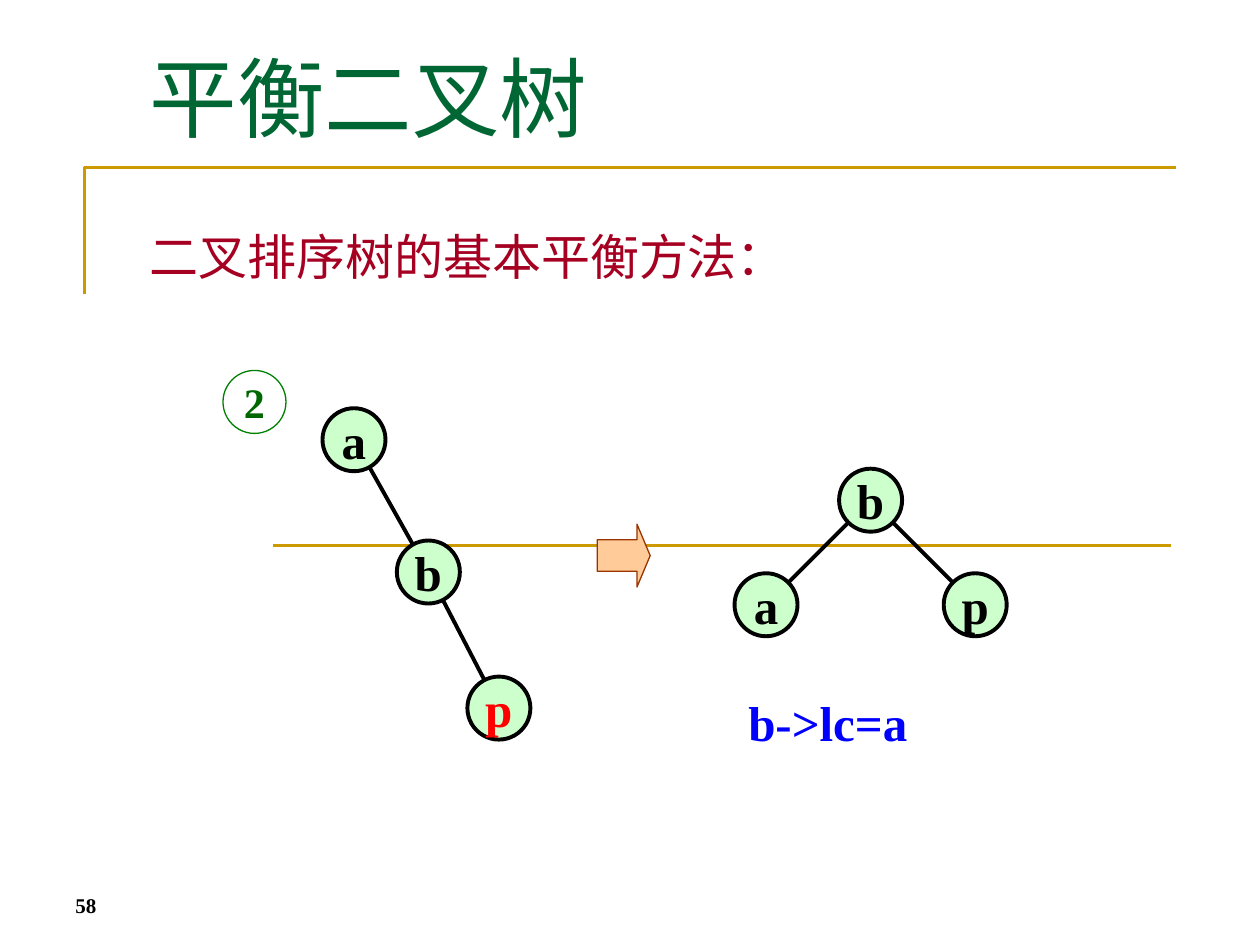
"""Build the slide on balancing a binary sort tree by a left rotation."""
from math import hypot

from lxml import etree
from pptx import Presentation
from pptx.dml.color import RGBColor
from pptx.enum.shapes import MSO_CONNECTOR, MSO_SHAPE
from pptx.enum.text import MSO_ANCHOR, PP_ALIGN
from pptx.oxml.ns import qn
from pptx.util import Inches, Pt

COLORS = {
    "gold": "CC9900", "title": "006633", "heading": "A50021", "code": "0000FF",
    "ink": "000000", "node": "CCFFCC", "inserted": "FF0000", "step": "006600",
    "step_line": "008000", "arrow": "FFCC99", "arrow_line": "993300",
}
SERIF, SANS = "Times New Roman", "Arial"
DIAMETER = 0.5

TITLE = ("平衡二叉树", (1.09, 0.3, 7.89, 1.25), 50, SERIF, "title", False, MSO_ANCHOR.TOP)
HEADING = ("二叉排序树的基本平衡方法：", (1.09, 1.75, 7.89, 4.95), 28, SANS, "heading", False, MSO_ANCHOR.TOP)
PAGE_NUMBER = ("58", (0.5, 6.83, 2.33, 0.5), 12, SERIF, "ink", True, MSO_ANCHOR.BOTTOM)
ASSIGNMENT = ("b->lc=a", (5.84, 5.45, 2.28, 0.57), 28, SERIF, "code", True, MSO_ANCHOR.TOP)

UNBALANCED = {
    "nodes": {"a": (2.56, 3.24, "ink"), "b": (3.15, 4.29, "ink"), "p": (3.71, 5.37, "inserted")},
    "edges": ["ab", "bp"],
}
BALANCED = {
    "nodes": {"b": (6.66, 3.72, "ink"), "a": (5.83, 4.55, "ink"), "p": (7.49, 4.55, "ink")},
    "edges": ["ba", "bp"],
}


def rgb(name):
    return RGBColor.from_string(COLORS[name])


def inches(values):
    return [Inches(value) for value in values]


def style_text(frame, text, size, font, color, bold):
    frame.text = text
    run_font = frame.paragraphs[0].runs[0].font
    run_font.size, run_font.name, run_font.bold = Pt(size), font, bold
    run_font.color.rgb = rgb(color)


def style_shape(shape, fill, line, width):
    shape.shadow.inherit = False
    if fill:
        shape.fill.solid()
        shape.fill.fore_color.rgb = rgb(fill)
    else:
        shape.fill.background()
    shape.line.color.rgb = rgb(line)
    shape.line.width = Pt(width)


def add_text(shapes, text, box, size, font, color, bold, anchor):
    frame = shapes.add_textbox(*inches(box)).text_frame
    frame.word_wrap = True
    frame.vertical_anchor = anchor
    style_text(frame, text, size, font, color, bold)


def add_line(shapes, start, end, color, width):
    line = shapes.add_connector(MSO_CONNECTOR.STRAIGHT, *inches(start + end))
    line.line.color.rgb = rgb(color)
    line.line.width = Pt(width)
    etree.SubElement(line._element.spPr, qn("a:effectLst"))


def add_circle(shapes, label, corner, size, color, fill, line, width):
    circle = shapes.add_shape(MSO_SHAPE.OVAL, *inches(corner + (DIAMETER, DIAMETER)))
    style_shape(circle, fill, line, width)
    frame = circle.text_frame
    frame.word_wrap = False
    frame.vertical_anchor = MSO_ANCHOR.MIDDLE
    style_text(frame, label, size, SERIF, color, True)
    frame.paragraphs[0].alignment = PP_ALIGN.CENTER


def add_tree(shapes, tree):
    group = shapes.add_group_shape().shapes
    radius = DIAMETER / 2
    for label, (left, top, color) in tree["nodes"].items():
        add_circle(group, label, (left, top), 28, color, "node", "ink", 2.25)
    for parent, child in tree["edges"]:
        x1, y1 = (value + radius for value in tree["nodes"][parent][:2])
        x2, y2 = (value + radius for value in tree["nodes"][child][:2])
        share = radius / hypot(x2 - x1, y2 - y1)
        dx, dy = (x2 - x1) * share, (y2 - y1) * share
        add_line(group, (x1 + dx, y1 + dy), (x2 - dx, y2 - dy), "ink", 2.25)


def add_corner_rule(shapes):
    builder = shapes.build_freeform(Inches(0.67), Inches(2.33))
    builder.add_line_segments([inches((0.67, 1.33)), inches((9.33, 1.33))], close=False)
    style_shape(builder.convert_to_shape(), None, "gold", 2)


def main():
    prs = Presentation()
    prs.slide_width, prs.slide_height = Inches(10), Inches(7.5)
    shapes = prs.slides.add_slide(prs.slide_layouts[6]).shapes
    add_corner_rule(shapes)
    add_line(shapes, (2.17, 4.33), (9.29, 4.33), "gold", 1.5)
    arrow = shapes.add_shape(MSO_SHAPE.RIGHT_ARROW, *inches((4.74, 4.16, 0.42, 0.5)))
    arrow.adjustments[0], arrow.adjustments[1] = 0.5, 0.25
    style_shape(arrow, "arrow", "arrow_line", 0.75)
    add_circle(shapes, "2", (1.77, 2.94), 24, "step", None, "step_line", 0.75)
    add_text(shapes, *ASSIGNMENT)
    add_tree(shapes, UNBALANCED)
    for entry in (TITLE, HEADING, PAGE_NUMBER):
        add_text(shapes, *entry)
    add_tree(shapes, BALANCED)
    prs.save("out.pptx")


if __name__ == "__main__":
    main()
